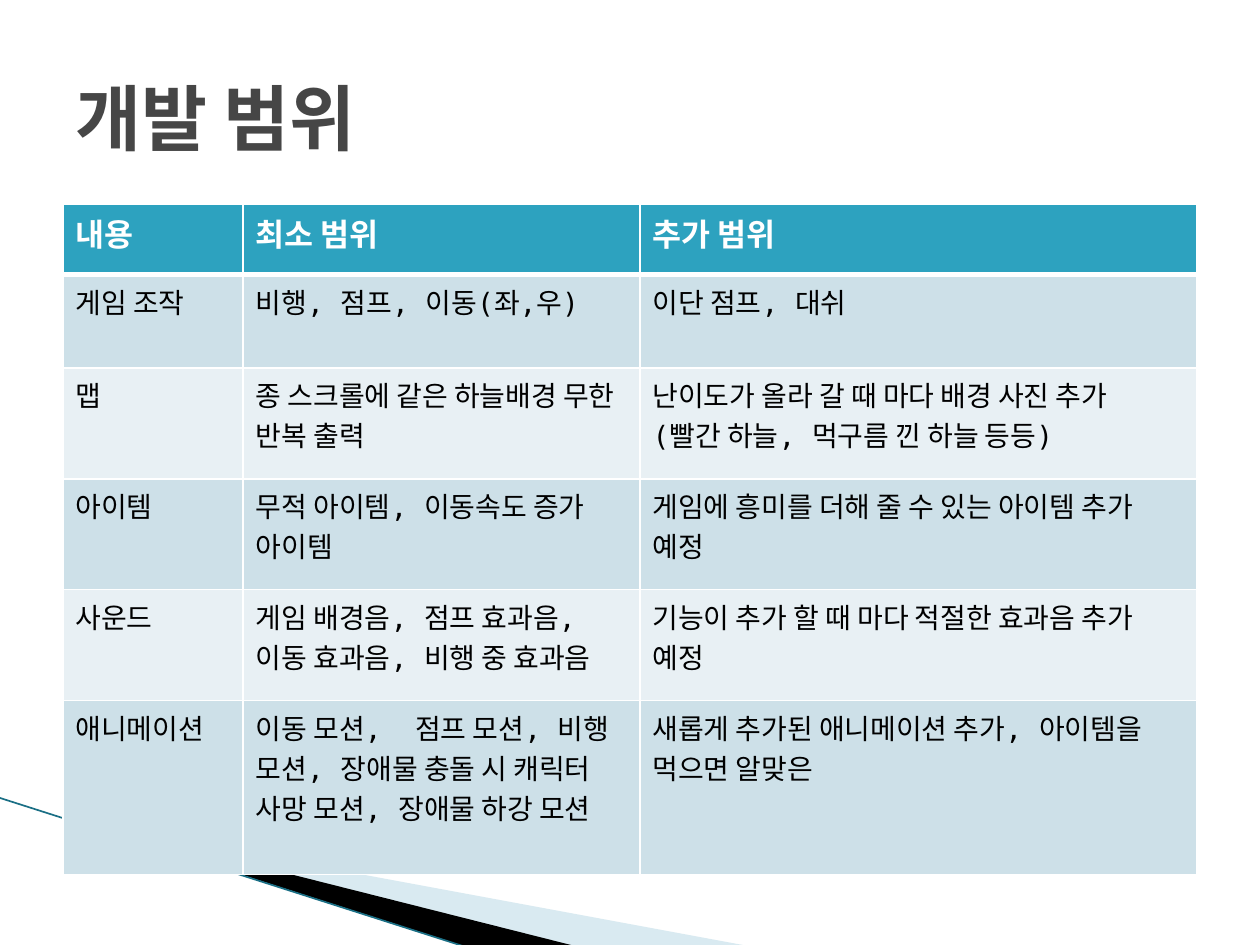
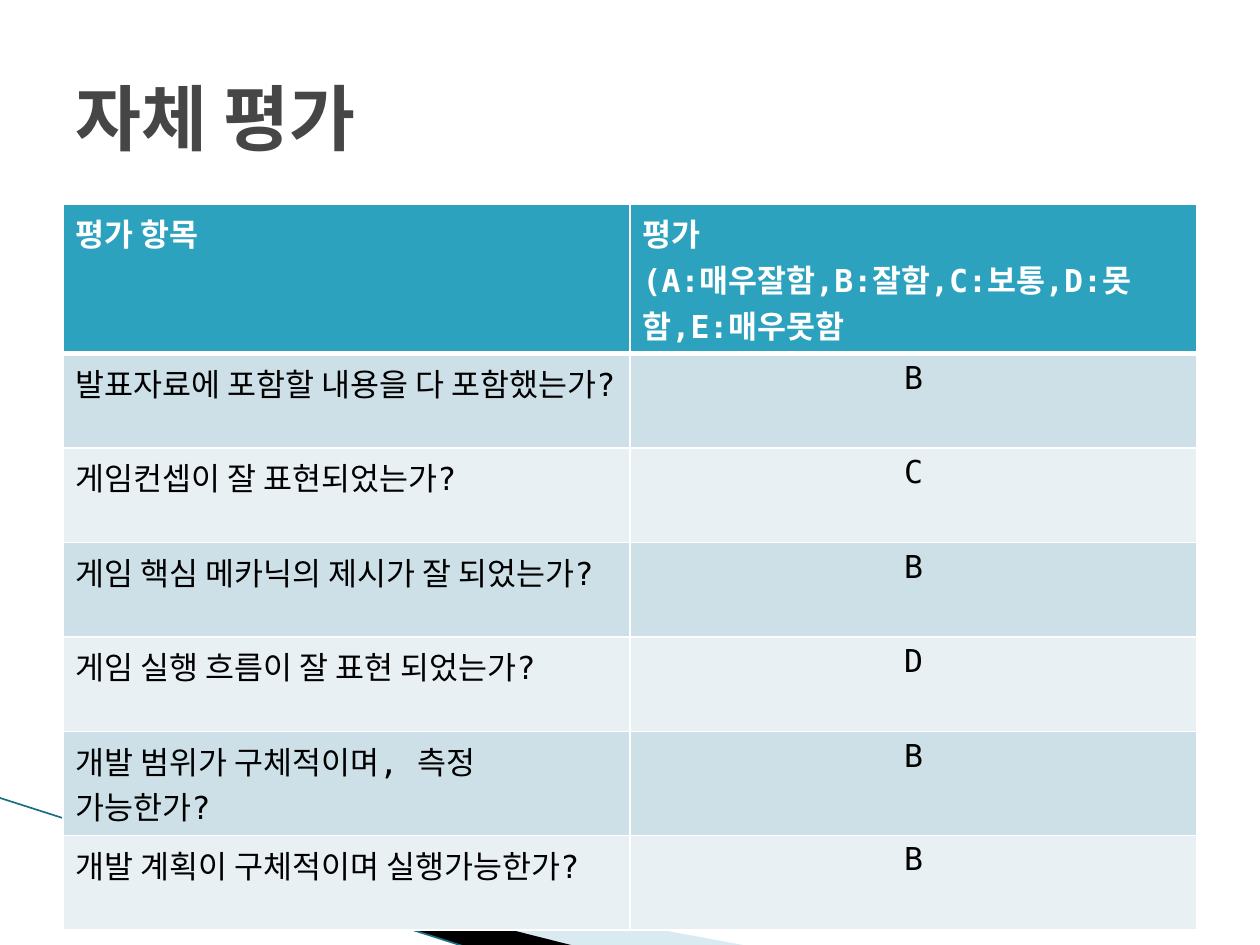
from dataclasses import dataclass

from lxml.etree import SubElement
from pptx import Presentation
from pptx.dml.color import RGBColor
from pptx.enum.shapes import MSO_CONNECTOR
from pptx.enum.text import MSO_ANCHOR, MSO_AUTO_SIZE, PP_ALIGN
from pptx.oxml import parse_xml
from pptx.oxml.ns import nsdecls, qn
from pptx.util import Inches, Pt

# In a cell, "\n" starts a new paragraph and "\v" a new line of the same one.
SCOPE = {
    "title": "개발 범위",
    "column_widths": [1.43, 3.15, 4.42],
    "row_heights": [0.56, 0.56, 0.88, 0.88, 0.88, 1.24],
    "body_size": 16,
    "centered_columns": [],
    "rows": [
        ("내용", "최소 범위", "추가 범위"),
        ("게임 조작", "비행, 점프, 이동(좌,우)", "이단 점프, 대쉬"),
        ("맵", "종 스크롤에 같은 하늘배경 무한 반복 출력",
         "난이도가 올라 갈 때 마다 배경 사진 추가\n(빨간 하늘, 먹구름 낀 하늘 등등)"),
        ("아이템", "무적 아이템, 이동속도 증가 아이템",
         "게임에 흥미를 더해 줄 수 있는 아이템 추가 예정"),
        ("사운드", "게임 배경음, 점프 효과음, 이동 효과음, 비행 중 효과음",
         "기능이 추가 할 때 마다 적절한 효과음 추가 예정"),
        ("애니메이션",
         "이동 모션,  점프 모션, 비행 모션, 장애물 충돌 시 캐릭터 사망 모션, 장애물 하강 모션",
         "새롭게 추가된 애니메이션 추가, 아이템을 먹으면 알맞은"),
    ],
}
EVALUATION = {
    "title": "자체 평가",
    "column_widths": [4.5] * 2,
    "row_heights": [0.75] * 7,
    "body_size": 18,
    "centered_columns": [1],
    "rows": [
        ("평가 항목", "평가\n(A:매우잘함,B:잘함,C:보통,D:못함,E:매우못함"),
        ("발표자료에 포함할 내용을 다 포함했는가?", "B"),
        ("게임컨셉이 잘 표현되었는가?", "C"),
        ("게임 핵심 메카닉의 제시가 잘 되었는가?", "B"),
        ("게임 실행 흐름이 잘 표현 되었는가?", "D"),
        ("개발 범위가 구체적이며, 측정 \v가능한가?", "B"),
        ("개발 계획이 구체적이며 실행가능한가?", "B"),
    ],
}


@dataclass(frozen=True)
class Theme:
    font: str = "DejaVu Sans Mono"
    title_size: int = 41
    header_size: int = 18
    title: str = "464646"
    header_text: str = "FFFFFF"
    body_text: str = "000000"
    header_fill: str = "2DA2BF"
    band_fills: tuple = ("CDE0E8", "E8F0F4")
    border: str = "FFFFFF"
    border_width: float = 1
    header_rule_width: float = 3
    pale_wedge: str = "A0CBDC"
    dark_wedge: str = "000000"
    edge_line: str = "1A6F85"


THEME = Theme()
LEFT, WIDTH = 0.5, 9
TITLE_TOP, TITLE_HEIGHT = 0.3, 1.25
TABLE_TOP = 1.62
PALE_WEDGE = [(0.55, 6.51), (5.95, 7.51), (4.56, 7.51), (0.55, 6.5)]
DARK_WEDGE = [(0.53, 6.49), (4.57, 7.51), (3.72, 7.52), (0.54, 6.5)]
EDGE_LINE = [(-0.01, 6.33), (3.71, 7.52)]


def color(value):
    return RGBColor.from_string(value)


def add_text(paragraph, text, size, text_color, bold):
    for index, line in enumerate(text.split("\v")):
        if index:
            paragraph.add_line_break()
        run = paragraph.add_run()
        run.text = line
        run.font.name = THEME.font
        run.font.size = Pt(size)
        run.font.bold = bold
        run.font.color.rgb = color(text_color)


def add_wedge(slide, points, fill, opacity=100):
    corners = [(Inches(x), Inches(y)) for x, y in points]
    builder = slide.shapes.build_freeform(*corners[0], scale=1.0)
    builder.add_line_segments(corners[1:], close=True)
    wedge = builder.convert_to_shape()
    wedge.shadow.inherit = False
    wedge.line.fill.background()
    wedge.fill.solid()
    wedge.fill.fore_color.rgb = color(fill)
    if opacity < 100:
        fill_color = wedge.fill._xPr.find(qn("a:solidFill"))[0]
        SubElement(fill_color, qn("a:alpha")).set("val", str(opacity * 1000))


def add_corner_decoration(slide):
    add_wedge(slide, PALE_WEDGE, THEME.pale_wedge, opacity=40)
    add_wedge(slide, DARK_WEDGE, THEME.dark_wedge)
    ends = [Inches(value) for point in EDGE_LINE for value in point]
    line = slide.shapes.add_connector(MSO_CONNECTOR.STRAIGHT, *ends)
    line.line.color.rgb = color(THEME.edge_line)
    line.line.width = Pt(0.95)
    SubElement(line._element.spPr, qn("a:effectLst"))


def set_title(slide, text):
    title = slide.shapes.title
    title.left, title.top = Inches(LEFT), Inches(TITLE_TOP)
    title.width, title.height = Inches(WIDTH), Inches(TITLE_HEIGHT)
    frame = title.text_frame
    frame.auto_size = MSO_AUTO_SIZE.NONE
    frame.vertical_anchor = MSO_ANCHOR.MIDDLE
    paragraph = frame.paragraphs[0]
    paragraph.alignment = PP_ALIGN.LEFT
    add_text(paragraph, text, THEME.title_size, THEME.title, True)


def set_borders(cell, row_index):
    """Rule all four sides, heavier between the header and the first row."""
    widths = dict.fromkeys("LRTB", THEME.border_width)
    if row_index < 2:
        widths["B" if row_index == 0 else "T"] = THEME.header_rule_width
    properties = cell._tc.get_or_add_tcPr()
    for position, (side, width) in enumerate(widths.items()):
        properties.insert(position, parse_xml(
            f'<a:ln{side} {nsdecls("a")} w="{Pt(width)}"><a:solidFill>'
            f'<a:srgbClr val="{THEME.border}"/></a:solidFill></a:ln{side}>'))


def fill_cell(cell, text, row_index, body_size, centered):
    is_header = row_index == 0
    cell.fill.solid()
    cell.fill.fore_color.rgb = color(
        THEME.header_fill if is_header else THEME.band_fills[(row_index - 1) % 2])
    set_borders(cell, row_index)
    size = THEME.header_size if is_header else body_size
    text_color = THEME.header_text if is_header else THEME.body_text
    frame = cell.text_frame
    for index, content in enumerate(text.split("\n")):
        paragraph = frame.add_paragraph() if index else frame.paragraphs[0]
        paragraph.alignment = PP_ALIGN.CENTER if centered else PP_ALIGN.LEFT
        add_text(paragraph, content, size, text_color, is_header)


def add_content_table(slide, content):
    rows, widths, heights = (
        content[key] for key in ("rows", "column_widths", "row_heights"))
    table = slide.shapes.add_table(
        len(rows), len(widths), Inches(LEFT), Inches(TABLE_TOP),
        Inches(WIDTH), Inches(sum(heights))).table
    table.horz_banding = False
    for column, width in zip(table.columns, widths):
        column.width = Inches(width)
    for row, height in zip(table.rows, heights):
        row.height = Inches(height)
    for row_index, texts in enumerate(rows):
        for column_index, text in enumerate(texts):
            centered = row_index > 0 and column_index in content["centered_columns"]
            fill_cell(table.cell(row_index, column_index), text, row_index,
                      content["body_size"], centered)


def main():
    presentation = Presentation()
    presentation.slide_width, presentation.slide_height = Inches(10), Inches(7.5)
    title_only = presentation.slide_layouts[5]
    for content in (SCOPE, EVALUATION):
        slide = presentation.slides.add_slide(title_only)
        add_corner_decoration(slide)
        set_title(slide, content["title"])
        add_content_table(slide, content)
    presentation.save("out.pptx")


if __name__ == "__main__":
    main()
